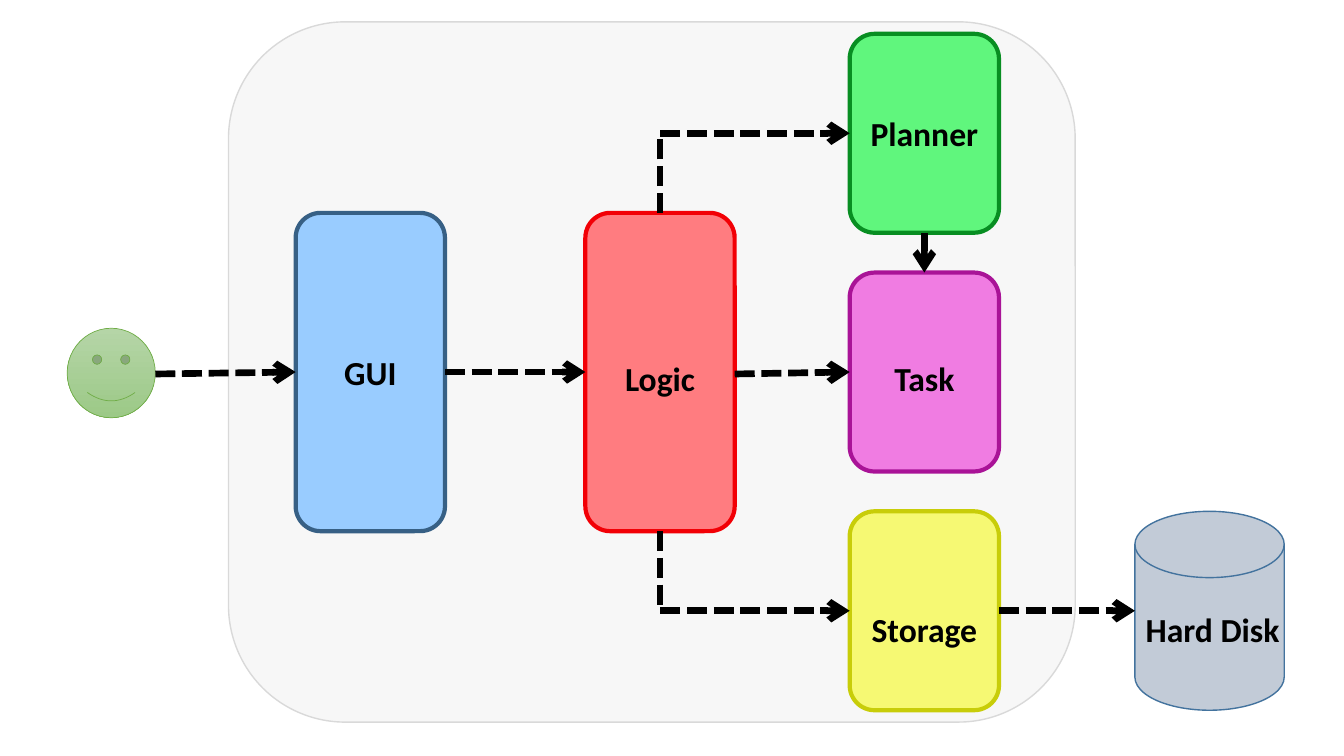
from dataclasses import dataclass
from pptx import Presentation
from pptx.dml.color import RGBColor as Rgb
from pptx.enum.dml import MSO_LINE_DASH_STYLE as Dash
from pptx.enum.shapes import MSO_CONNECTOR_TYPE as Link
from pptx.enum.shapes import MSO_AUTO_SHAPE_TYPE as Kind
from pptx.enum.text import MSO_AUTO_SIZE as Fit
from pptx.enum.text import PP_ALIGN as Align
from pptx.oxml.ns import qn
from pptx.oxml.xmlchemy import OxmlElement as Node
from pptx.util import Inches, Pt


@dataclass(frozen=True)
class Theme:
    font: str = "Calibri"
    size: int = 24
    ink: str = "000000"
    edge: float = 3
    thin: float = 1
    fine: float = 0.5
    wire: float = 4.75
    panel: tuple = ("D9D9D9", "D9D9D9")
    gui: tuple = ("99CCFF", "376085")
    logic: tuple = ("FF7C80", "F20006")
    plan: tuple = ("60F67D", "088E22")
    task: tuple = ("F07CE2", "A91397")
    store: tuple = ("F6F973", "C8CD09")
    disk: tuple = ("ADB9CA", "43739E")
    face: tuple = ("B5D5A7", "9CC987", "70AD47")


LOOK = Theme()
WIDE, HIGH = Inches(13.33), Inches(7.5)
COLS, ROWS = 9, 3.8
GUI, LOGIC, TIER, DISK = 1.98, 3.92, 5.69, 7.6
TOP, STEP, TALL = 0.17, 1.2, 1.6
MID = 1.87


def col(n):
    return round(WIDE * n / COLS)


def row(n):
    return round(HIGH * n / ROWS)


def add(slide, kind, box, line, width):
    x, y, w, h = box
    shape = slide.shapes.add_shape(kind, col(x), row(y), col(w), row(h))
    shape.shadow.inherit = False
    shape.line.color.rgb = Rgb.from_string(line)
    shape.line.width = Pt(width)
    return shape


def block(slide, kind, box, tint, width, alpha=100):
    shape = add(slide, kind, box, tint[1], width)
    shape.fill.solid()
    shape.fill.fore_color.rgb = Rgb.from_string(tint[0])
    if alpha < 100:
        node = Node("a:alpha")
        node.set("val", str(alpha * 1000))
        shape.fill._xPr.find(".//" + qn("a:srgbClr")).append(node)


def smile(slide, box):
    shape = add(slide, Kind.SMILEY_FACE, box, LOOK.face[2], LOOK.fine)
    shape.fill.gradient()
    shape.fill.gradient_angle = 270
    for stop, tint in zip(shape.fill.gradient_stops, LOOK.face):
        stop.color.rgb = Rgb.from_string(tint)


def label(slide, text, mid, y, w):
    h = 0.25
    box = slide.shapes.add_textbox(col(mid - w / 2), row(y - h / 2), col(w), row(h))
    frame = box.text_frame
    frame.word_wrap = False
    frame.auto_size = Fit.SHAPE_TO_FIT_TEXT
    para = frame.paragraphs[0]
    para.alignment = Align.CENTER
    run = para.add_run()
    run.text = text
    run.font.name = LOOK.font
    run.font.size = Pt(LOOK.size)
    run.font.bold = True
    run.font.color.rgb = Rgb.from_string(LOOK.ink)


def wire(slide, kind, ends):
    link = slide.shapes.add_connector(kind, *ends)
    link.line.color.rgb = Rgb.from_string(LOOK.ink)
    link.line.width = Pt(LOOK.wire)
    link.line.dash_style = Dash.SQUARE_DOT
    tip = Node("a:tailEnd")
    tip.set("type", "arrow")
    link.line._get_or_add_ln().append(tip)
    link._element.spPr.append(Node("a:effectLst"))
    return link


def arrow(slide, x1, y1, x2, y2):
    wire(slide, Link.STRAIGHT, (col(x1), row(y1), col(x2), row(y2)))


def bend(slide, x1, y1, x2, y2):
    left, start, right, stop = col(x1), row(y1), col(x2), row(y2)
    cx, cy = (left + right) // 2, (start + stop) // 2
    dx, dy = abs(stop - start) // 2, (right - left) // 2
    link = wire(slide, Link.ELBOW, (cx - dx, cy - dy, cx + dx, cy + dy))
    props = link._element.spPr
    props.find(qn("a:prstGeom")).set("prst", "bentConnector2")
    frame = props.find(qn("a:xfrm"))
    frame.set("flipH", "1")
    up = stop < start
    frame.set("rot", str((90 if up else 270) * 60000))
    if up:
        frame.set("flipV", "1")


def main():
    deck = Presentation()
    deck.slide_width, deck.slide_height = WIDE, HIGH
    slide = deck.slides.add_slide(deck.slide_layouts[6])
    tiers = [TOP + STEP * n for n in range(3)]
    mids = [top + 0.5 for top in tiers]
    high = MID - TALL / 2
    low = MID + TALL / 2

    block(slide, Kind.ROUNDED_RECTANGLE, (1.53, 0.11, 5.67, 3.52), LOOK.panel, LOOK.thin, 20)
    for x, tint in ((GUI, LOOK.gui), (LOGIC, LOOK.logic)):
        block(slide, Kind.ROUNDED_RECTANGLE, (x, high, 1, TALL), tint, LOOK.edge)
    for y, tint in zip(tiers, (LOOK.plan, LOOK.task, LOOK.store)):
        block(slide, Kind.ROUNDED_RECTANGLE, (TIER, y, 1, 1), tint, LOOK.edge)
    smile(slide, (0.45, 1.65, 0.59, 0.45))
    block(slide, Kind.FLOWCHART_MAGNETIC_DISK, (DISK, tiers[2], 1, 1), LOOK.disk, LOOK.thin, 74)

    for text, x, y, w in (
        ("GUI", GUI + 0.5, 1.87, 0.49),
        ("Logic", LOGIC + 0.5, 1.9, 0.61),
        ("Planner", TIER + 0.5, 0.67, 0.86),
        ("Task", TIER + 0.5, 1.9, 0.55),
        ("Storage", TIER + 0.5, 3.16, 0.85),
        ("Hard Disk", DISK + 0.52, 3.16, 1.04),
    ):
        label(slide, text, x, y, w)

    arrow(slide, 1.04, 1.88, GUI, MID)
    arrow(slide, GUI + 1, MID, LOGIC, MID)
    arrow(slide, LOGIC + 1, 1.88, TIER, MID)
    arrow(slide, TIER + 0.5, tiers[0] + 1, TIER + 0.5, tiers[1])
    arrow(slide, TIER + 1, mids[2], DISK, mids[2])
    bend(slide, LOGIC + 0.5, high, TIER, mids[0])
    bend(slide, LOGIC + 0.5, low, TIER, mids[2])

    deck.save("out.pptx")


main()
